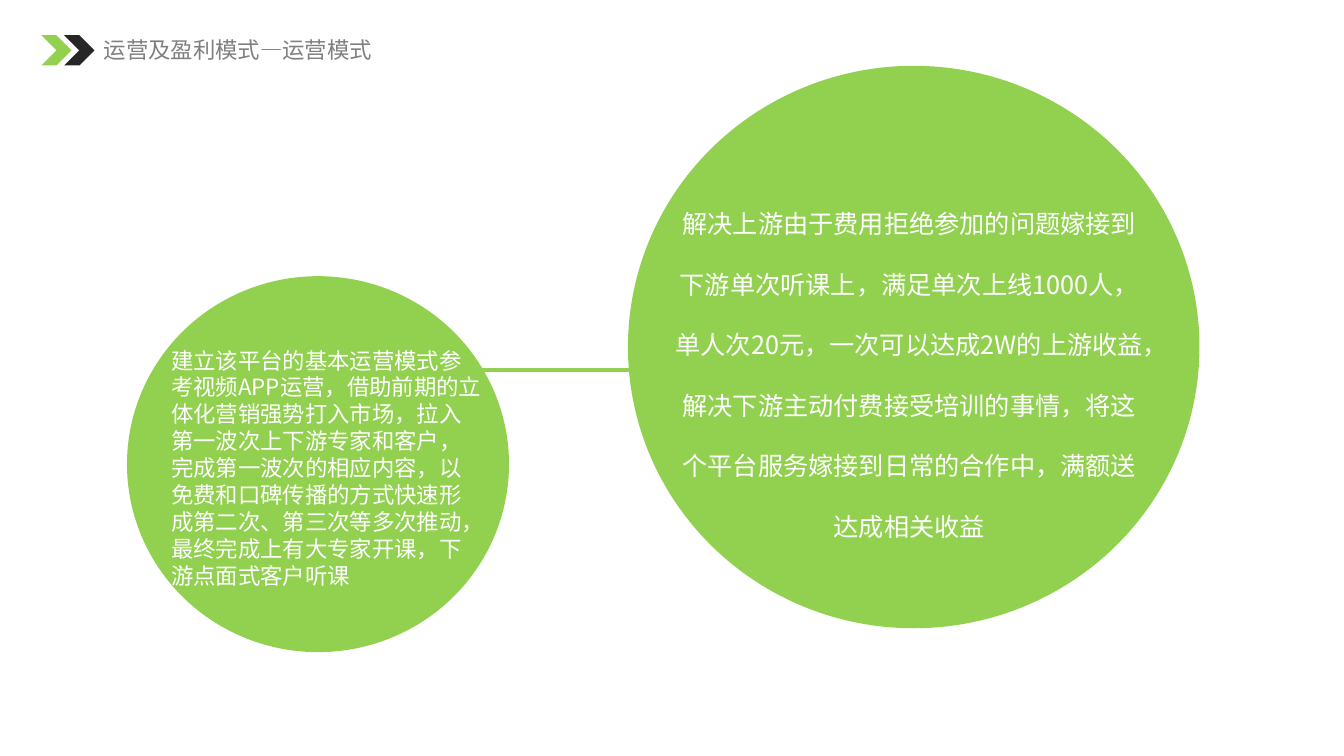
from dataclasses import dataclass

from lxml import etree
from pptx import Presentation, util as u
from pptx.dml.color import RGBColor
from pptx.enum import shapes, text
from pptx.oxml import ns


@dataclass(frozen=True)
class Theme:
    green: str = "92D050"
    dark: str = "262626"
    gray: str = "7F7F7F"
    white: str = "FFFFFF"
    heading_font: str = "Noto Sans CJK SC"
    body_font: str = "Noto Sans CJK TC"
    small: int = 16
    large: int = 18
    link_width: float = 2.75


COLUMNS, ROWS = 80, 45
HEADING = "运营及盈利模式—运营模式"
PLATFORM = (
    "建立该平台的基本运营模式参考视频APP运营，借助前期的立体化营销强势打入市场，"
    "拉入第一波次上下游专家和客户，完成第一波次的相应内容，以免费和口碑传播的方式"
    "快速形成第二次、第三次等多次推动，最终完成上有大专家开课，下游点面式客户听课"
)
REVENUE = (
    "解决上游由于费用拒绝参加的问题嫁接到下游单次听课上，满足单次上线1000人，"
    "单人次20元，一次可以达成2W的上游收益，解决下游主动付费接受培训的事情，"
    "将这个平台服务嫁接到日常的合作中，满额送达成相关收益"
)


def write(frame, wording, *, size, font, color, align=text.PP_ALIGN.LEFT,
          spacing=None, wrap=True, margins=(0.1, 0.05, 0.1, 0.05)):
    frame.word_wrap = wrap
    frame.auto_size = text.MSO_AUTO_SIZE.SHAPE_TO_FIT_TEXT
    (frame.margin_left, frame.margin_top,
     frame.margin_right, frame.margin_bottom) = map(u.Inches, margins)
    paragraph = frame.paragraphs[0]
    paragraph.alignment = align
    paragraph.line_spacing = spacing
    run = paragraph.add_run()
    run.text = wording
    run.font.size = u.Pt(size)
    run.font.name = font
    run.font.color.rgb = RGBColor.from_string(color)
    east_asian = etree.SubElement(run.font._element, ns.qn("a:ea"))
    east_asian.set("typeface", font)


class Board:
    def __init__(self, deck, theme):
        self.theme = theme
        self.slide = deck.slides.add_slide(deck.slide_layouts[6])
        self.column = deck.slide_width / COLUMNS
        self.row = deck.slide_height / ROWS

    def place(self, left, top, width, height):
        return (round(left * self.column), round(top * self.row),
                round(width * self.column), round(height * self.row))

    def solid(self, kind, area, color):
        figure = self.slide.shapes.add_shape(kind, *self.place(*area))
        figure.shadow.inherit = False
        figure.fill.solid()
        figure.fill.fore_color.rgb = RGBColor.from_string(color)
        figure.line.fill.background()

    def chevron(self, area, color):
        self.solid(shapes.MSO_SHAPE.CHEVRON, area, color)

    def circle(self, area):
        self.solid(shapes.MSO_SHAPE.OVAL, area, self.theme.green)

    def link(self, start, end, row):
        x, y, length, _ = self.place(start, row, end - start, 0)
        bond = self.slide.shapes.add_connector(
            shapes.MSO_CONNECTOR.STRAIGHT, x, y, x + length, y)
        bond.line.color.rgb = RGBColor.from_string(self.theme.green)
        bond.line.width = u.Pt(self.theme.link_width)
        etree.SubElement(bond._element.spPr, ns.qn("a:effectLst"))

    def words(self, area, wording, **style):
        box = self.slide.shapes.add_textbox(*self.place(*area))
        write(box.text_frame, wording, **style)


def main():
    deck = Presentation()
    deck.slide_width, deck.slide_height = u.Inches(13.33), u.Inches(7.5)
    theme = Theme()
    board = Board(deck, theme)

    for step, color in enumerate((theme.green, theme.dark)):
        board.chevron((2.46 + 1.36 * step, 2.1, 1.8, 1.8), color)
    board.words((6.18, 2.1, 16.08, 2), HEADING, size=theme.small,
                font=theme.heading_font, color=theme.gray,
                spacing=u.Pt(20), wrap=False, margins=(0, 0, 0, 0.05))

    board.link(26.34, 41.7, 22.02)
    board.circle((37.38, 3.92, 34.02, 33.48))
    board.circle((7.56, 16.44, 22.74, 22.38))
    board.words((9.6, 20.34, 19.68, 15.12), PLATFORM, size=theme.small,
                font=theme.body_font, color=theme.white)
    board.words((39.42, 10.32, 29.4, 22.38), REVENUE, size=theme.large,
                font=theme.body_font, color=theme.white,
                align=text.PP_ALIGN.CENTER, spacing=2.0)

    deck.save("out.pptx")


if __name__ == "__main__":
    main()
